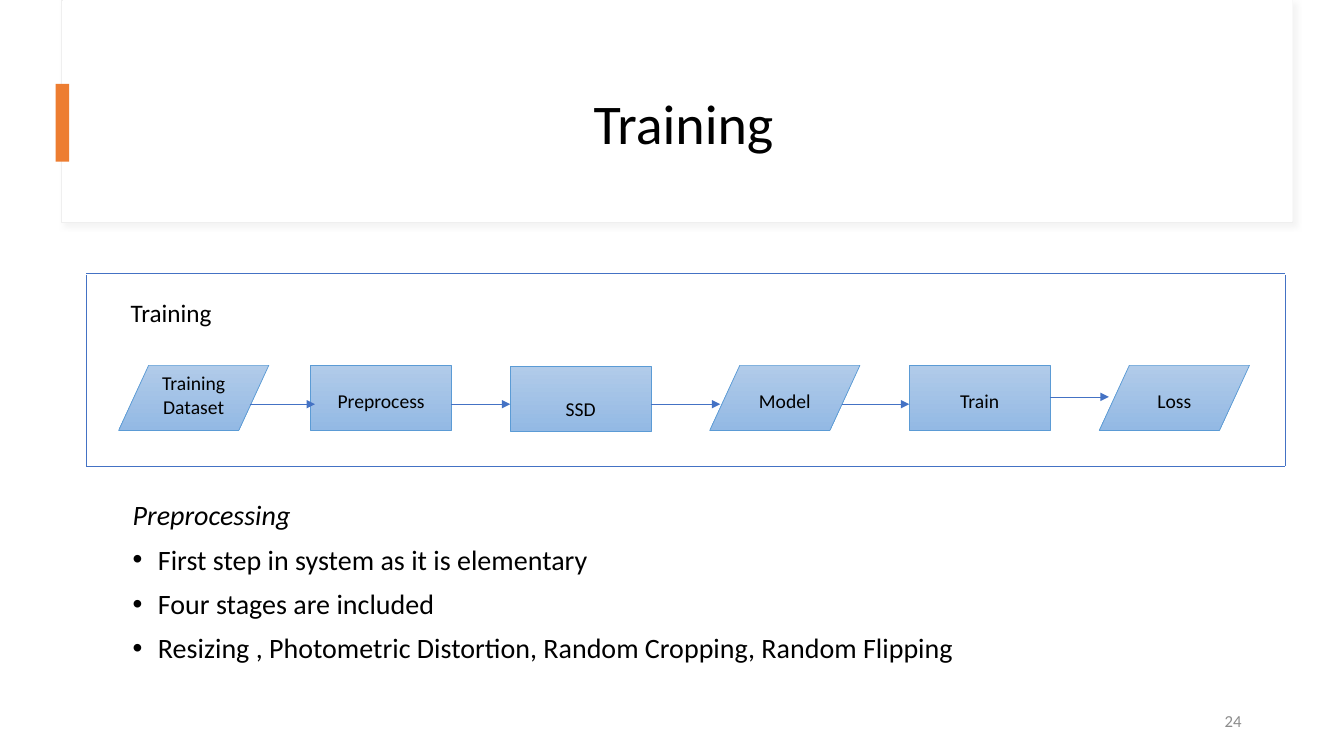
from lxml import etree
from pptx import Presentation
from pptx.dml.color import RGBColor
from pptx.enum.shapes import MSO_CONNECTOR, MSO_SHAPE
from pptx.enum.text import MSO_ANCHOR, PP_ALIGN
from pptx.oxml.ns import qn
from pptx.util import Pt

PX = 9525
FONT = "Calibri"
RECT = MSO_SHAPE.RECTANGLE
PROCESS = MSO_SHAPE.FLOWCHART_PROCESS
DATA = MSO_SHAPE.FLOWCHART_DATA
STRAIGHT = MSO_CONNECTOR.STRAIGHT
TOP, MIDDLE = MSO_ANCHOR.TOP, MSO_ANCHOR.MIDDLE
LEFT, CENTER, RIGHT = PP_ALIGN.LEFT, PP_ALIGN.CENTER, PP_ALIGN.RIGHT

BLACK, WHITE, GREY = "000000", "FFFFFF", "8C8C8C"
ACCENT, FLOW_BLUE, STEP_EDGE = "ED7D31", "4472C4", "5B9BD5"
STEP_TOP, STEP_BOTTOM = "B1CBE9", "93B9E4"
STEP_HEIGHT, STEP_WIDTH = 62, {PROCESS: 134, DATA: 143}

# Kind, left, top, label, downward shift of the label
STEPS = [
    (DATA, 31, 88, "Training Dataset", -3),
    (PROCESS, 214, 88, "Preprocess", 3),
    (PROCESS, 404, 89, "SSD", 9),
    (DATA, 594, 88, "Model", 3),
    (PROCESS, 784, 88, "Train", 3),
    (DATA, 965, 88, "Loss", 3),
]
# Start, end, height of each arrow
ARROWS = [(156, 218, 125), (348, 404, 125), (538, 604, 125),
          (720, 784, 125), (918, 974, 118)]
POINTS = [
    "First step in system as it is elementary",
    "Four stages are included",
    "Resizing , Photometric Distortion, Random Cropping, Random Flipping",
]


def px(*lengths):
    return [length * PX for length in lengths]


def color(hex_code):
    return RGBColor.from_string(hex_code)


def add_run(paragraph, text, size, hex_code=BLACK, italic=False):
    run = paragraph.add_run()
    run.text = text
    run.font.name = FONT
    run.font.size = Pt(size)
    run.font.italic = italic
    run.font.color.rgb = color(hex_code)


def add_plain_shape(slide, kind, box, fill=None, edge=None, weight=0.5):
    shape = slide.shapes.add_shape(kind, *px(*box))
    shape.shadow.inherit = False
    if fill:
        shape.fill.solid()
        shape.fill.fore_color.rgb = color(fill)
    if edge:
        shape.line.color.rgb = color(edge)
        shape.line.width = Pt(weight)
    else:
        shape.line.fill.background()
    return shape


def add_text_box(slide, box, anchor=TOP):
    frame = slide.shapes.add_textbox(*px(*box)).text_frame
    frame.word_wrap = True
    frame.vertical_anchor = anchor
    return frame


def add_line(slide, x1, y1, x2, y2, arrow=False):
    line = slide.shapes.add_connector(STRAIGHT, *px(x1, y1, x2, y2))
    line.line.color.rgb = color(FLOW_BLUE)
    line.line.width = Pt(0.5)
    if arrow:
        etree.SubElement(line.line._get_or_add_ln(), qn("a:tailEnd"), type="triangle")
    etree.SubElement(line.element.spPr, qn("a:effectLst"))


def add_header(slide, box):
    x, y, w, h = box
    # Card with a soft shadow
    card = add_plain_shape(slide, RECT, box, WHITE, "EFEFEF", 0.75)
    shadow = etree.SubElement(
        card.element.spPr.find(qn("a:effectLst")), qn("a:outerShdw"),
        blurRad=str(Pt(4)), dist=str(Pt(3)), dir="2700000", algn="tl", rotWithShape="0")
    tint = etree.SubElement(shadow, qn("a:srgbClr"), val="D9D9D9")
    etree.SubElement(tint, qn("a:alpha"), val="30000")
    add_plain_shape(slide, RECT, (x + 1, y, w - 1, h - 1), WHITE)

    # Title, brought in front of the card
    title = slide.shapes.title
    title.element.getparent().append(title.element)
    title.left, title.top, title.width, title.height = px(x + 58, y + 58, 1068, 124)
    title.text_frame.vertical_anchor = MIDDLE
    heading = title.text_frame.paragraphs[0]
    heading.alignment = CENTER
    heading.line_spacing = 0.9
    add_run(heading, "Training", 40)

    # Accent bar on the left edge
    add_plain_shape(slide, RECT, (x - 6, y + 80, 13, 74), ACCENT)


def add_step(slide, kind, x, y, label, shift):
    step = add_plain_shape(slide, kind, (x, y, STEP_WIDTH[kind], STEP_HEIGHT), edge=STEP_EDGE)
    step.fill.gradient()
    step.fill.gradient_angle = 270
    for stop, shade in zip(step.fill.gradient_stops, (STEP_TOP, STEP_BOTTOM)):
        stop.color.rgb = color(shade)
    frame = step.text_frame
    frame.word_wrap = True
    frame.vertical_anchor = MIDDLE
    frame.margin_left = frame.margin_right = 0
    frame.margin_top, frame.margin_bottom = px(max(2 * shift, 0), max(-2 * shift, 0))
    frame.paragraphs[0].alignment = CENTER
    add_run(frame.paragraphs[0], label, 14)


def add_flow(slide, box):
    x, y, w, h = box
    # Frame
    for edge_y in (y, y + h):
        add_line(slide, x, edge_y, x + w, edge_y)
    for edge_x in (x, x + w):
        add_line(slide, edge_x, y + 2, edge_x, y + h)
    caption = add_text_box(slide, (x + 33, y + 18, 174, 38))
    add_run(caption.paragraphs[0], "Training", 18)

    # Steps and the arrows between them
    for kind, left, top, label, shift in STEPS:
        add_step(slide, kind, x + left, y + top, label, shift)
    for start, end, height in ARROWS:
        add_line(slide, x + start, y + height, x + end, y + height, arrow=True)


def add_preprocessing(slide, box):
    frame = add_text_box(slide, box)
    subject = frame.paragraphs[0]
    subject.line_spacing = 0.9
    add_run(subject, "Preprocessing", 20, italic=True)
    for text in POINTS:
        point = frame.add_paragraph()
        point.alignment = LEFT
        point.line_spacing = 0.9
        point.space_before = Pt(10)
        properties = point._p.get_or_add_pPr()
        properties.set("marL", str(24 * PX))
        properties.set("indent", str(-24 * PX))
        etree.SubElement(properties, qn("a:buFont"), typeface="Arial")
        etree.SubElement(properties, qn("a:buChar"), char="•")
        add_run(point, text, 20)


def add_page_number(slide, box):
    number = add_text_box(slide, box, MIDDLE).paragraphs[0]
    number.alignment = RIGHT
    add_run(number, "24", 12, GREY)


def main():
    deck = Presentation()
    deck.slide_width, deck.slide_height = px(1280, 720)
    slide = deck.slides.add_slide(deck.slide_layouts[5])
    add_header(slide, (59, 0, 1172, 212))
    add_preprocessing(slide, (117, 473, 1068, 175))
    add_page_number(slide, (904, 667, 288, 38))
    add_flow(slide, (82, 260, 1142, 184))
    deck.save("out.pptx")


if __name__ == "__main__":
    main()
